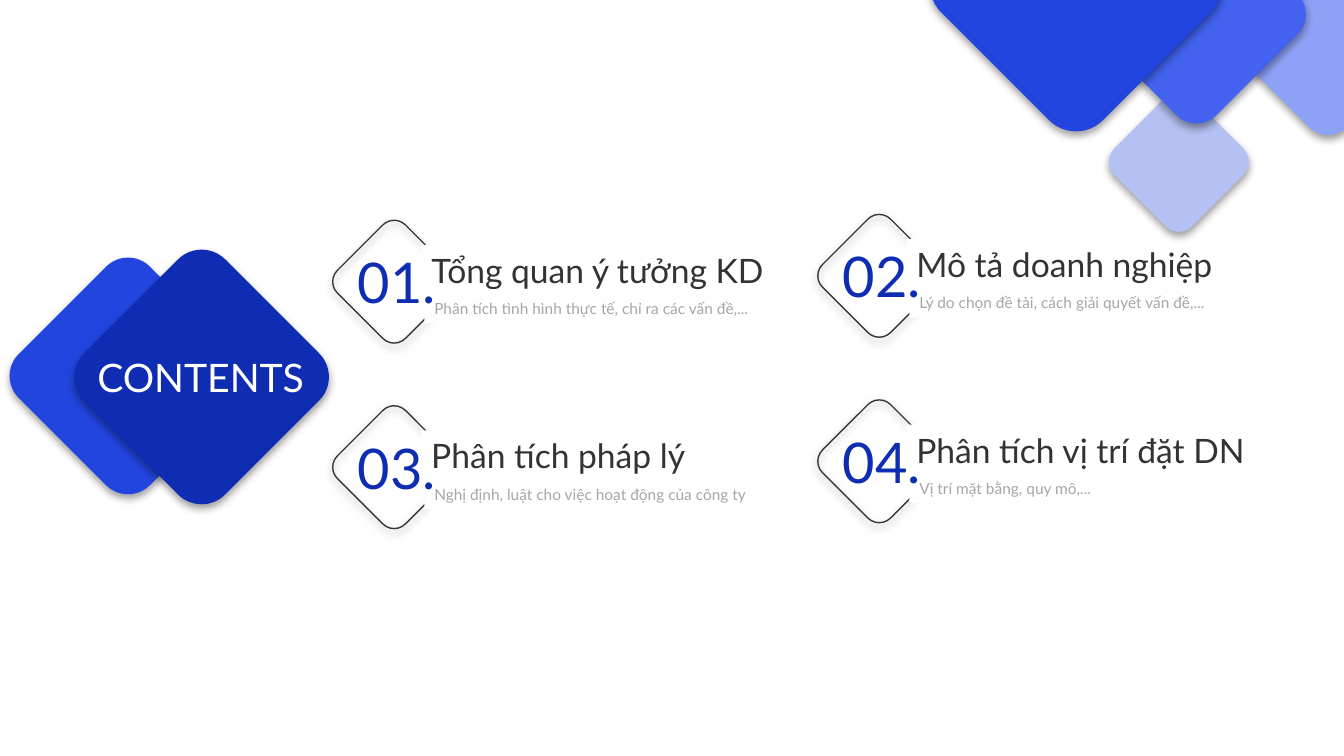
from lxml.etree import SubElement
from pptx import Presentation
from pptx.dml.color import RGBColor as RGB
from pptx.enum.shapes import MSO_SHAPE as SHAPE
from pptx.enum.text import MSO_ANCHOR as ANCHOR, MSO_AUTO_SIZE as AUTO, PP_ALIGN as ALIGN
from pptx.oxml.ns import qn
from pptx.util import Inches, Pt

COLORS = {
    "navy": "0E2DB2", "blue": "2345DF", "azure": "4262EF",
    "sky": "8DA1F6", "mist": "B5C1F2", "outline": "393737",
    "title": "333333", "detail": "A6A6A6", "white": "FFFFFF", "black": "000000",
}
COLUMNS, ROWS = 160, 90


class Deck:
    font = "Lato"

    def __init__(self):
        self.show = Presentation()
        self.show.slide_width, self.show.slide_height = Inches(13.33), Inches(7.5)
        self.slide = self.show.slides.add_slide(self.show.slide_layouts[6])

    def color(self, name):
        return RGB.from_string(COLORS[name])

    def box(self, left, top, width, height):
        column, row = self.show.slide_width / COLUMNS, self.show.slide_height / ROWS
        return [round(n) for n in (left * column, top * row, width * column, height * row)]

    def diamond(self, x, y, side, fill=None):
        tile = self.slide.shapes.add_shape(
            SHAPE.ROUNDED_RECTANGLE, *self.box(x - side / 2, y - side / 2, side, side))
        tile.rotation = 45
        if fill:
            tile.fill.solid()
            tile.fill.fore_color.rgb = self.color(fill)
            tile.line.fill.background()
        else:
            tile.fill.background()
            tile.line.color.rgb = self.color("outline")
            tile.line.width = Pt(1)
        tile.shadow.inherit = False
        self.drop_shadow(tile)

    def drop_shadow(self, tile):
        effects = tile._element.spPr.find(qn("a:effectLst"))
        shadow = SubElement(effects, qn("a:outerShdw"), blurRad=str(Pt(6)), dist=str(Pt(3)),
                            dir="5400000", algn="t", rotWithShape="0")
        shade = SubElement(shadow, qn("a:srgbClr"), val=COLORS["black"])
        SubElement(shade, qn("a:alpha"), val="39000")

    def text(self, words, place, size, color, wrap=False, align=ALIGN.LEFT):
        self.fill_in(self.slide.shapes.add_textbox(*self.box(*place)),
                     words, size, color, wrap, align)

    def panel(self, words, place, size, color, wrap=False):
        plate = self.slide.shapes.add_shape(SHAPE.RECTANGLE, *self.box(*place))
        plate.shadow.inherit = False
        plate.fill.solid()
        plate.fill.fore_color.rgb = self.color("white")
        plate.line.fill.background()
        self.fill_in(plate, words, size, color, wrap, ALIGN.LEFT)

    def fill_in(self, holder, words, size, color, wrap, align):
        frame = holder.text_frame
        frame.word_wrap = wrap
        frame.auto_size = AUTO.SHAPE_TO_FIT_TEXT
        frame.vertical_anchor = ANCHOR.TOP
        paragraph = frame.paragraphs[0]
        paragraph.alignment = align
        run = paragraph.add_run()
        run.text = words
        run.font.name = self.font
        run.font.size = Pt(size)
        run.font.color.rgb = self.color(color)

    def topic(self, x, y, number, title, title_width, detail):
        self.diamond(x, y, 11.46)
        self.panel(detail, (x + 3.6, y + 1.5, 45.6, 3.48), 11, "detail", wrap=True)
        self.panel(title, (x + 3.24, y - 4.38, title_width, 6), 24, "title")
        self.text(number, (x - 5.5, y - 4.62, 12, 9.24), 40, "navy")


def main():
    deck = Deck()

    deck.diamond(15.24, 44.76, 22.08, "blue")
    deck.diamond(24, 44.88, 23.76, "navy")
    deck.text("CONTENTS", (-4.32, 41.52, 56.4, 6.84), 28, "white",
              wrap=True, align=ALIGN.CENTER)

    topics = [
        ("Tổng quan ý tưởng KD", 46.08, "Phân tích tình hình thực tế, chỉ ra các vấn đề,..."),
        ("Mô tả doanh nghiệp", 43.2, "Lý do chọn đề tài, cách giải quyết vấn đề,..."),
        ("Phân tích pháp lý", 36.72, "Nghị định, luật cho việc hoạt động của công ty"),
        ("Phân tích vị trí đặt DN", 44.64, "Vị trí mặt bằng, quy mô,..."),
    ]
    for index, (title, title_width, detail) in enumerate(topics):
        row, column = divmod(index, 2)
        deck.topic(46.92 + 57.75 * column, 33.54 + 22.08 * row - 0.7 * column,
                   f"{index + 1:02}.", title, title_width, detail)

    for x, y, side, fill in [
        (158.1, 3.9, 19.08, "sky"),
        (140.34, 19.26, 13.08, "mist"),
        (142.44, 1.68, 20.4, "azure"),
        (128.1, -1.74, 27.24, "blue"),
    ]:
        deck.diamond(x, y, side, fill)

    deck.show.save("out.pptx")


if __name__ == "__main__":
    main()
